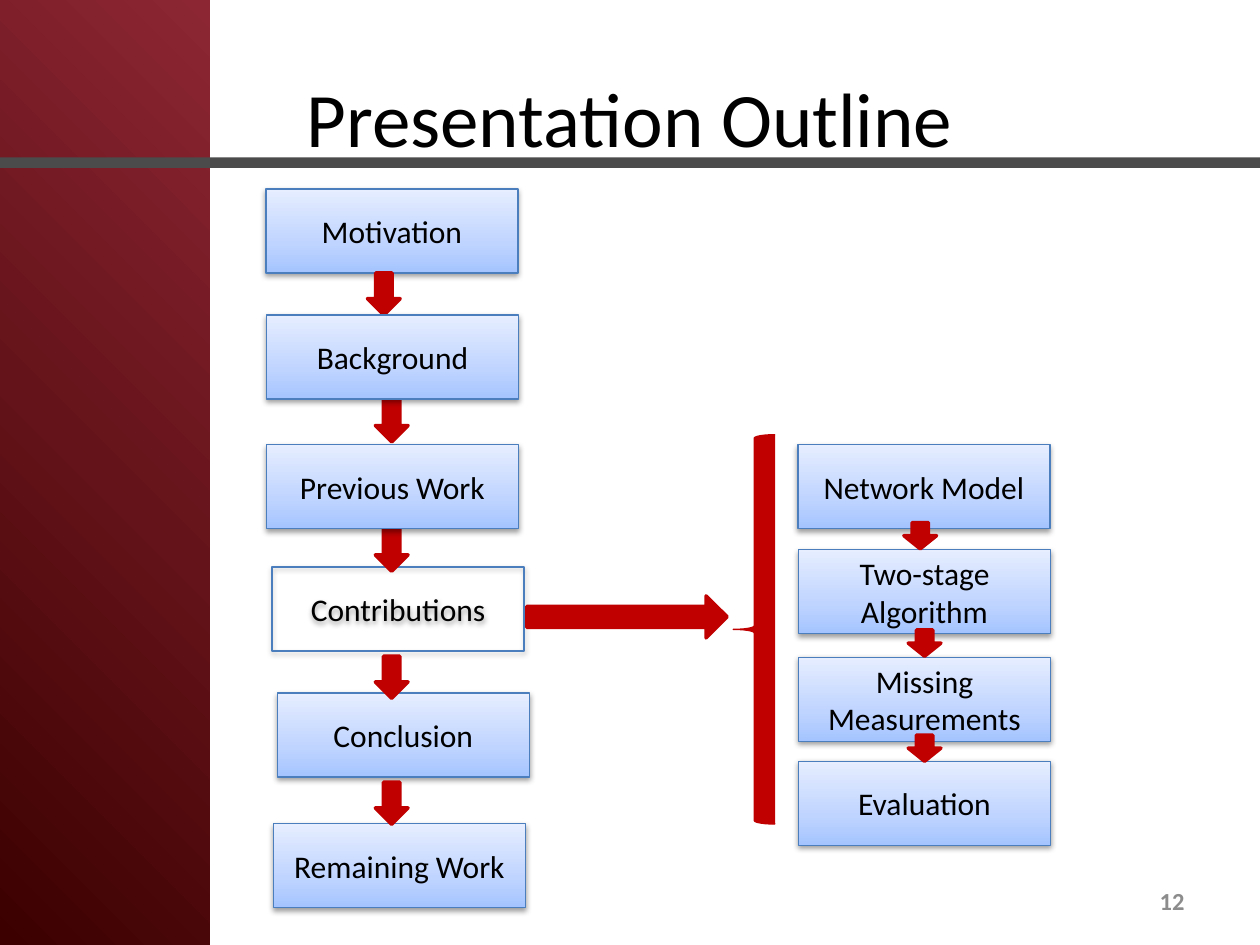
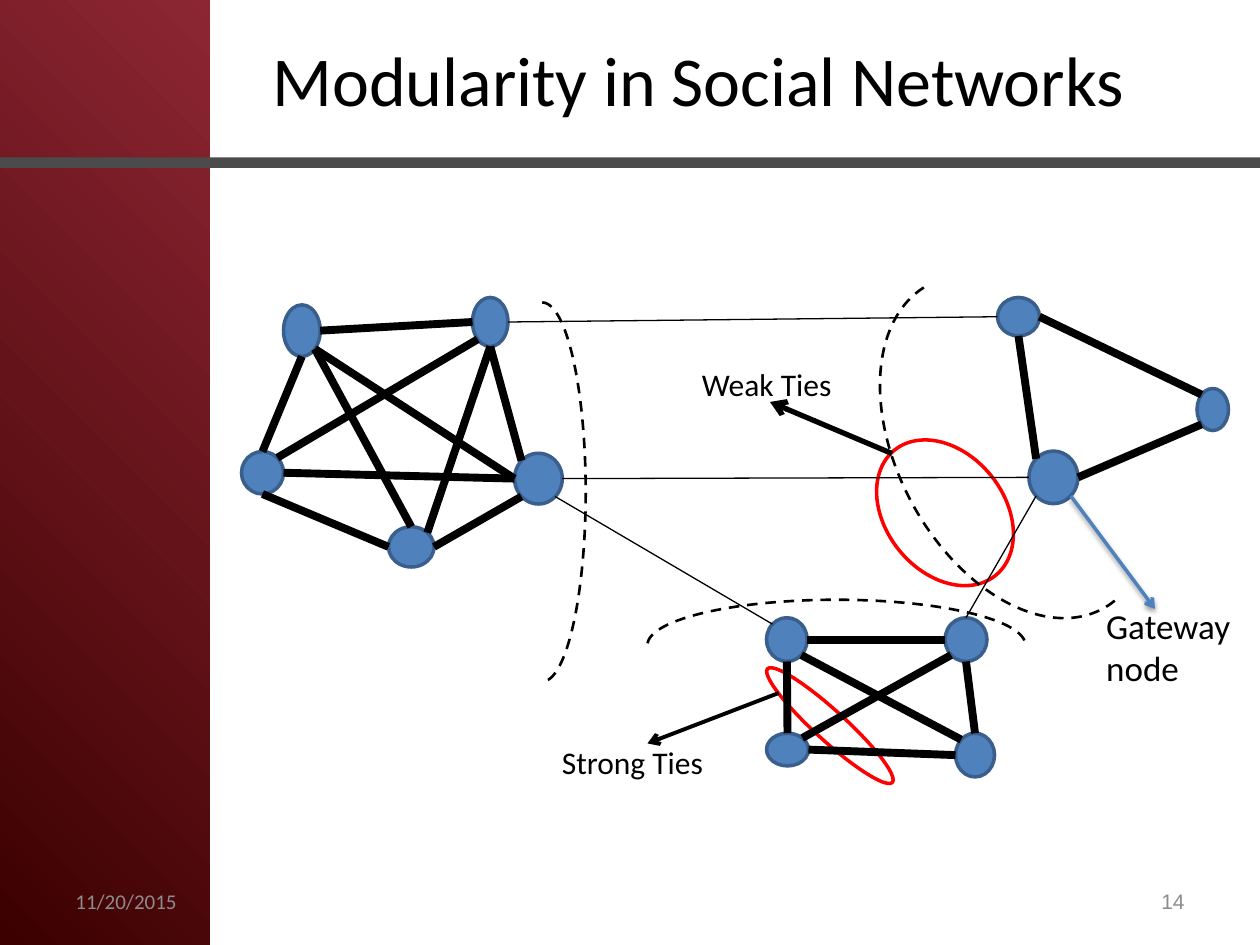
"""Builds two slides: a presentation outline and a diagram of modularity in social networks."""
from copy import deepcopy
from math import cos, radians, sin

from lxml.etree import SubElement
from pptx import Presentation
from pptx.dml.color import RGBColor
from pptx.enum.dml import MSO_LINE
from pptx.enum.shapes import MSO_CONNECTOR, MSO_SHAPE
from pptx.enum.text import MSO_ANCHOR, PP_ALIGN
from pptx.oxml.ns import qn
from pptx.util import Pt

COLORS = {
    "black": "000000", "white": "FFFFFF", "grey": "8C8C8C", "band": "4B4B4B",
    "panel_dark": "3C0000", "panel_light": "8C2633",
    "box_low": "A4C4FF", "box_mid": "BFD4FF", "box_high": "E6EEFF", "box_line": "4B7EBC",
    "arrow": "C00000", "node": "4F81BD", "node_line": "3A5F8C", "highlight": "FF0000",
}
PANEL_STOPS = [(0, "panel_dark"), (1, "panel_light")]
BOX_STOPS = [(0, "box_low"), (0.35, "box_mid"), (1, "box_high")]
BOX_W, BOX_H = 144, 48
ARROW_W = 18.7

STEPS_UNDER_ARROWS = [
    ("Motivation", 152, 108), ("Contributions", 155.5, 324),
    ("Conclusion", 158.5, 396), ("Remaining Work", 156.3, 470.6),
    ("Network Model", 456, 254), ("Two-stage Algorithm", 456.3, 314),
    ("Missing Measurements", 456.3, 375.6), ("Evaluation", 456.3, 435),
]
STEPS_OVER_ARROWS = [("Background", 152.3, 180), ("Previous Work", 152.3, 254)]
CURRENT_STEP = "Contributions"
DOWN_ARROWS = {
    24: [(210, 156), (214.5, 228.5), (214.5, 302.4), (214.5, 375), (214.5, 447)],
    15: [(516.5, 298.6), (519, 360), (519, 420)],
}

NODES = {
    "a1": (162, 174.2, 21, 29.5), "a2": (270, 170, 20.3, 28),
    "a3": (294, 259, 27.3, 29), "a4": (222, 301, 26, 23), "a5": (138, 258, 24, 24.3),
    "b1": (570, 170, 24, 22), "b2": (684, 222, 18, 24), "b3": (588, 257.8, 28, 30),
    "c1": (438, 353, 23.3, 25), "c2": (540, 353, 24, 25),
    "c3": (438, 419, 24, 18.7), "c4": (546, 419, 22.3, 25),
}
SITES = {"E": 0, "SE": 45, "S": 90, "SW": 135, "W": 180, "NW": 225, "N": 270, "NE": 315}
STRONG_TIES = [
    "a1 E a2 W", "a5 N a1 S", "a2 S a3 NW", "a4 E a3 SW", "a4 W a5 S",
    "a5 NE a2 SW", "a5 E a3 W", "a1 SE a4 N", "a1 SE a3 W", "a4 NE a2 S",
    "c1 E c2 W", "c3 N c1 S", "c3 E c4 W", "c2 S c4 N", "c3 NE c2 SW", "c1 SE c4 NW",
    "b1 E b2 NW", "b3 E b2 SW", "b1 S b3 NW",
]
WEAK_TIES = ["c1 NW a3 SE", "c2 N b3 SW", "a2 E b1 W", "a3 E b3 W"]
HIGHLIGHTS = [((426, 406, 96.5, 17.3), 42.3), ((494, 259.2, 92, 67.7), 51.1)]
COMMUNITY_ARCS = [
    ((285, 172.8, 49.7, 216.7), 0, (162, 53.36)),
    ((475.2, 188, 210.2, 134.6), 241.7, (105.28, 0)),
    ((370, 342.7, 216, 51.8), 0, (108.32, 0)),
]
LABELS = [
    ("Gateway node", (625, 342, 107.3, 55.4), 20),
    ("Weak Ties", (394, 205.2, 92, 29), 18),
    ("Strong Ties", (314, 421.2, 111.6, 29), 18),
]
LABEL_ARROWS = [((509.8, 259.2), (440, 229.7), 3), ((445, 396), (370, 424.8), 2.25)]
GATEWAY_TIP = (660, 348)


def rgb(name):
    return RGBColor.from_string(COLORS[name])


def write(s, text, size, color="black", align=PP_ALIGN.LEFT, anchor=MSO_ANCHOR.MIDDLE,
          bold=False, font="Calibri"):
    tf = s.text_frame
    tf.word_wrap = True
    tf.vertical_anchor = anchor
    p = tf.paragraphs[0]
    p.text = text
    p.alignment = align
    p.font.name, p.font.size, p.font.bold = font, Pt(size), bold
    p.font.color.rgb = rgb(color)


def add_text(slide, text, frame, size, **style):
    write(slide.shapes.add_textbox(*map(Pt, frame)), text, size, **style)


def set_gradient(s, stops, angle):
    s.fill.gradient()
    s.fill.gradient_angle = angle
    gs_list = s._element.spPr.find(qn("a:gradFill")).find(qn("a:gsLst"))
    while len(gs_list) < len(stops):
        gs_list.append(deepcopy(gs_list[0]))
    for stop, (position, color) in zip(s.fill.gradient_stops, stops):
        stop.position = position
        stop.color.rgb = rgb(color)


def add_shadow(s):
    effects = s._element.spPr.find(qn("a:effectLst"))
    shadow = SubElement(effects, qn("a:outerShdw"), blurRad=str(Pt(3.1)), dist=str(Pt(1.6)),
                        dir="5400000", rotWithShape="0")
    color = SubElement(shadow, qn("a:srgbClr"), val=COLORS["black"])
    SubElement(color, qn("a:alpha"), val="38000")


def add_shape(slide, kind, frame, fill=None, line=None, width=2, rotation=0):
    s = slide.shapes.add_shape(kind, *map(Pt, frame))
    s.shadow.inherit = False
    s.rotation = rotation
    if fill:
        s.fill.solid()
        s.fill.fore_color.rgb = rgb(fill)
    else:
        s.fill.background()
    if line:
        s.line.color.rgb = rgb(line)
        s.line.width = Pt(width)
    else:
        s.line.fill.background()
    return s


def add_line(slide, start, end, width, color="black", arrow=False):
    s = slide.shapes.add_connector(MSO_CONNECTOR.STRAIGHT, *map(Pt, start + end))
    s.line.color.rgb = rgb(color)
    s.line.width = Pt(width)
    spPr = s._element.spPr
    if arrow:
        SubElement(spPr.find(qn("a:ln")), qn("a:tailEnd"), type="arrow")
    SubElement(spPr, qn("a:effectLst"))
    return s


def add_frame(slide, title, title_frame, title_size, number, **number_style):
    panel = add_shape(slide, MSO_SHAPE.RECTANGLE, (0, 0, 120, 540))
    set_gradient(panel, PANEL_STOPS, 45)
    add_shape(slide, MSO_SHAPE.RECTANGLE, (0, 90, 720, 6), "band")
    add_text(slide, title, title_frame, title_size, align=PP_ALIGN.CENTER)
    add_text(slide, number, (516, 500.5, 168, 28.75), color="grey", align=PP_ALIGN.RIGHT,
             **number_style)


def add_steps(slide, steps):
    for text, x, y in steps:
        s = add_shape(slide, MSO_SHAPE.RECTANGLE, (x, y, BOX_W, BOX_H), None, "box_line", 0.75)
        if text != CURRENT_STEP:
            set_gradient(s, BOX_STOPS, 90)
        add_shadow(s)
        write(s, text, 18, align=PP_ALIGN.CENTER)


def site_point(node, site):
    x, y, w, h = NODES[node]
    angle = radians(SITES[site])
    return x + w / 2 * (1 + cos(angle)), y + h / 2 * (1 + sin(angle))


def add_ties(slide, ties, width):
    for tie in ties:
        node1, site1, node2, site2 = tie.split()
        add_line(slide, site_point(node1, site1), site_point(node2, site2), width)


def build_outline(slide):
    add_frame(slide, "Presentation Outline", (36, 21.6, 648, 90), 44, "12", size=14, bold=True)
    add_steps(slide, STEPS_UNDER_ARROWS)
    for height, places in DOWN_ARROWS.items():
        for x, y in places:
            add_shape(slide, MSO_SHAPE.DOWN_ARROW, (x, y, ARROW_W, height), "arrow", "arrow")
    add_shape(slide, MSO_SHAPE.RIGHT_ARROW, (301, 340.5, 114.5, 24), "arrow", "arrow")
    add_shape(slide, MSO_SHAPE.LEFT_BRACE, (419, 248.4, 24, 222.5), "arrow", "arrow", 0.75)
    add_steps(slide, STEPS_OVER_ARROWS)


def build_network(slide):
    for frame, rotation in HIGHLIGHTS:
        add_shape(slide, MSO_SHAPE.OVAL, frame, "white", "highlight", 2, rotation)
    add_frame(slide, "Modularity in Social Networks", (102, 0, 594, 90), 40, "14",
              size=12, font="Arial")
    add_text(slide, "11/20/2015", (36, 500.5, 168, 28.75), 12, color="grey")
    for frame in NODES.values():
        add_shape(slide, MSO_SHAPE.FLOWCHART_CONNECTOR, frame, "node", "node_line")
    add_ties(slide, STRONG_TIES, 4.5)
    add_ties(slide, WEAK_TIES, 0.75)
    for frame, rotation, angles in COMMUNITY_ARCS:
        s = add_shape(slide, MSO_SHAPE.ARC, frame, None, "black", 1.5, rotation)
        s.adjustments[0], s.adjustments[1] = angles
        s.line.dash_style = MSO_LINE.DASH
    for text, frame, size in LABELS:
        add_text(slide, text, frame, size, anchor=MSO_ANCHOR.TOP)
    for start, end, width in LABEL_ARROWS:
        add_line(slide, start, end, width, arrow=True)
    add_shadow(add_line(slide, site_point("b3", "SE"), GATEWAY_TIP, 2, "node", arrow=True))


def main():
    prs = Presentation()
    prs.slide_width, prs.slide_height = Pt(720), Pt(540)
    for build in (build_outline, build_network):
        build(prs.slides.add_slide(prs.slide_layouts[6]))
    prs.save("out.pptx")


if __name__ == "__main__":
    main()
